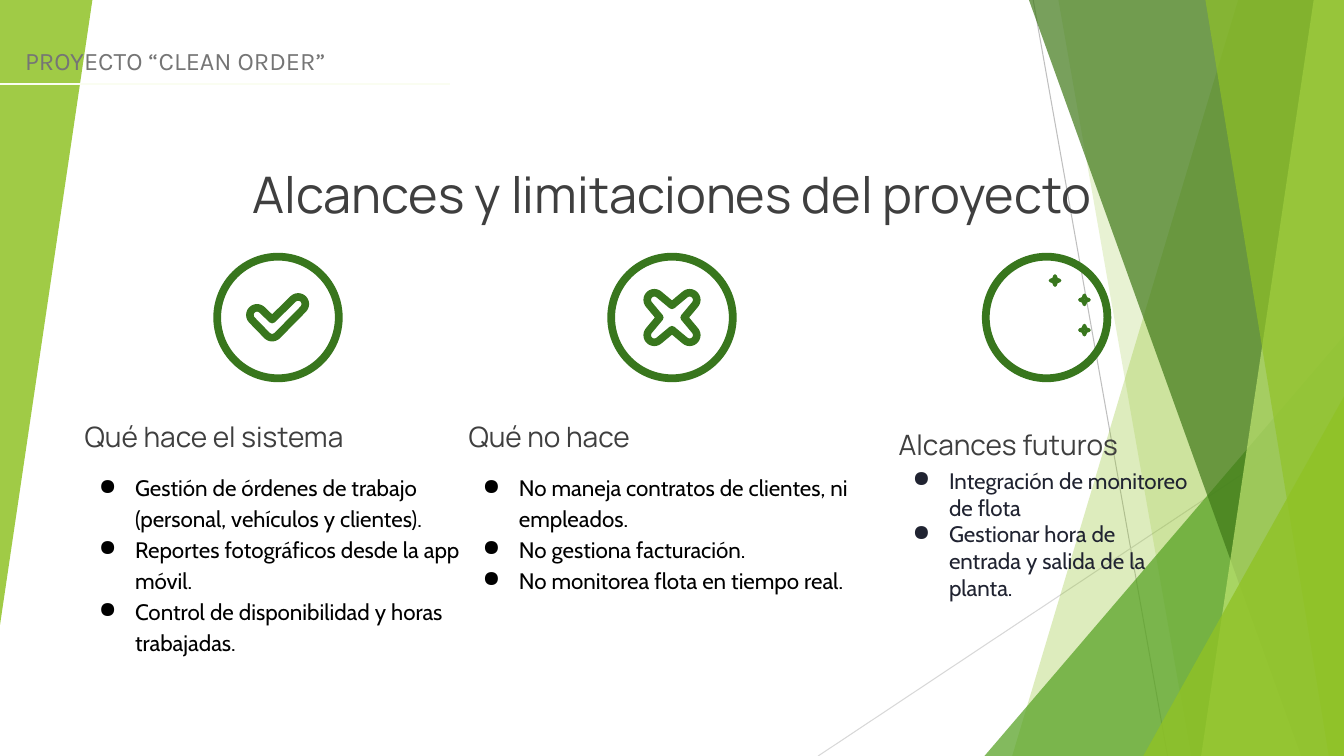
from dataclasses import dataclass
from math import cos, radians, sin
from typing import NamedTuple

from lxml.etree import SubElement
from pptx import Presentation
from pptx.dml.color import RGBColor
from pptx.enum.shapes import MSO_CONNECTOR, MSO_SHAPE
from pptx.enum.text import MSO_ANCHOR, MSO_AUTO_SIZE, PP_ALIGN
from pptx.oxml.ns import qn
from pptx.util import Emu, Inches, Pt

COLS, ROWS, UNIT = 160, 90, 76200

STRAIGHT = MSO_CONNECTOR.STRAIGHT
RING, STAR, WEDGE = MSO_SHAPE.DONUT, MSO_SHAPE.STAR_4_POINT, MSO_SHAPE.ISOSCELES_TRIANGLE
TOP, GROW = MSO_ANCHOR.TOP, MSO_AUTO_SIZE.SHAPE_TO_FIT_TEXT
LEFT, CENTER = PP_ALIGN.LEFT, PP_ALIGN.CENTER

LIME = RGBColor(0x90, 0xC2, 0x26)
GREEN = RGBColor(0x54, 0xA0, 0x21)
MOSS = RGBColor(0x3F, 0x78, 0x18)
PALE = RGBColor(0xBF, 0xE4, 0x71)
ICON = RGBColor(0x38, 0x76, 0x1D)
SILVER = RGBColor(0xBF, 0xBF, 0xBF)
MIST = RGBColor(0xD8, 0xD8, 0xD8)
CREAM = RGBColor(0xFA, 0xFD, 0xF1)
GRAY = RGBColor(0x75, 0x75, 0x75)
DARK = RGBColor(0x3F, 0x3F, 0x3F)
BLACK = RGBColor(0, 0, 0)
NAVY = RGBColor(0x20, 0x23, 0x31)


class Point(NamedTuple):
    x: float
    y: float


class Box(NamedTuple):
    left: float
    top: float
    width: float
    height: float


class Bend(NamedTuple):
    x: float
    y: float
    start: int
    end: int


@dataclass
class Panel:
    head: float
    foot: float
    color: RGBColor
    alpha: int


@dataclass
class Corner:
    box: Box
    color: RGBColor
    alpha: int
    turn: int = 0


@dataclass
class Rule:
    start: Point
    end: Point
    color: RGBColor
    width: float


@dataclass
class Topic:
    box: Box
    name: str
    items: list[str]
    color: RGBColor = BLACK
    space: float = 1.15
    gap: int = 12


PANELS = [
    Panel(147.4, 120.5, LIME, 30),
    Panel(126, 141.8, LIME, 20),
    Corner(Box(117.2, 40, 42.8, 50), GREEN, 72),
    Panel(122.5, 154.9, MOSS, 70),
    Panel(156.4, 143, PALE, 70),
    Panel(143.5, 158.2, LIME, 65),
    Corner(Box(136.1, 47.2, 23.9, 42.8), LIME, 80),
    Corner(Box(0, 0, 11, 74.4), LIME, 85, 180),
]
RULES = [
    Rule(Point(123, 0), Point(139, ROWS), SILVER, 0.75),
    Rule(Point(COLS, 48.4), Point(97.4, ROWS), MIST, 0.75),
]
HEADER = Rule(Point(0, 10), Point(53.6, 10), CREAM, 1.25)
TOPICS = [
    Topic(Box(8.9, 48.2, 48.4, 31), "Qué hace el sistema", [
        "Gestión de órdenes de trabajo (personal, vehículos y clientes).",
        "Reportes fotográficos desde la app móvil.",
        "Control de disponibilidad y horas trabajadas."]),
    Topic(Box(54.6, 48.2, 50.9, 23.5), "Qué no hace", [
        "No maneja contratos de clientes, ni empleados.",
        "No gestiona facturación.",
        "No monitorea flota en tiempo real."]),
    Topic(Box(105.8, 49.1, 37.3, 23.9), "Alcances futuros", [
        "Integración de monitoreo de flota",
        "Gestionar hora de entrada y salida de la planta."], NAVY, 1.0, 4),
]
BADGES = [Point(33.1, 37.8), Point(80, 37.8), Point(124.6, 37.8)]
CHECK = [Bend(-2.5, -0.3, 135, 315), Point(-0.7, 0.25),
         Bend(2.4, -1.6, 225, 405), Bend(-0.7, 1.55, 45, 135)]
CROSS = [Bend(-2.1, -2.1, 135, 315), Point(0, -1.45),
         Bend(2.1, -2.1, 225, 405), Point(1.45, 0),
         Bend(2.1, 2.1, 315, 495), Point(0, 1.45),
         Bend(-2.1, 2.1, 45, 225), Point(-1.45, 0)]
SPARKS = [Point(1, -4.4), Point(4.5, -2.1), Point(4.5, 1.5)]


def cell(count: float) -> Emu:
    return Emu(round(count * UNIT))


def paint(shape, color: RGBColor, alpha: int = 100) -> None:
    shape.shadow.inherit = False
    shape.line.fill.background()
    shape.fill.solid()
    shape.fill.fore_color.rgb = color
    if alpha < 100:
        tint = shape.fill._xPr.find(".//" + qn("a:srgbClr"))
        SubElement(tint, qn("a:alpha"), val=str(alpha * 1000))


def trace(shape, width: float) -> None:
    shape.shadow.inherit = False
    shape.fill.background()
    shape.line.color.rgb = ICON
    shape.line.width = Pt(width)


def outline(slide, points: list[Point]):
    spots = [(cell(x), cell(y)) for x, y in points]
    pen = slide.shapes.build_freeform(*spots[0], scale=1.0)
    pen.add_line_segments(spots[1:], close=True)
    return pen.convert_to_shape()


def preset(slide, kind, box: Box, ratio: float):
    shape = slide.shapes.add_shape(kind, *map(cell, box))
    shape.adjustments[0] = ratio
    return shape


def around(spot: Point, size: float) -> Box:
    return Box(spot.x - size / 2, spot.y - size / 2, size, size)


def back(slide, part: Panel | Corner) -> None:
    if isinstance(part, Panel):
        shape = outline(slide, [Point(part.head, 0), Point(COLS, 0),
                                Point(COLS, ROWS), Point(part.foot, ROWS)])
    else:
        shape = preset(slide, WEDGE, part.box, 1)
        shape.rotation = part.turn
    paint(shape, part.color, part.alpha)


def draw(slide, rule: Rule) -> None:
    line = slide.shapes.add_connector(STRAIGHT, *map(cell, rule.start + rule.end))
    line.line.color.rgb = rule.color
    line.line.width = Pt(rule.width)
    SubElement(line._element.spPr, qn("a:effectLst"))


def mark(slide, hub: Point, bends: list[Bend | Point], radius: float = 0.85) -> None:
    points = []
    for bend in bends:
        x, y = hub.x + bend.x, hub.y + bend.y
        if isinstance(bend, Point):
            points.append(Point(x, y))
        else:
            points += [Point(x + radius * cos(radians(turn)), y + radius * sin(radians(turn)))
                       for turn in range(bend.start, bend.end + 1, 15)]
    trace(outline(slide, points), 5.4)


def frame(shape, box: Box, inset: float = 0.05):
    shape.left, shape.top, shape.width, shape.height = map(cell, box)
    body = shape.text_frame
    body.word_wrap, body.auto_size, body.vertical_anchor = True, GROW, TOP
    body.margin_left = body.margin_right = Inches(0.1)
    body.margin_top = body.margin_bottom = Inches(inset)
    return body


def write(para, text: str, *, size: int, font: str, color: RGBColor, align=LEFT,
          space: float = 1.0, gap: int = 0, bullet: bool = False) -> None:
    para.alignment, para.line_spacing, para.space_before = align, space, Pt(gap)
    if bullet:
        props = para._p.get_or_add_pPr()
        props.set("marL", str(Inches(0.5)))
        props.set("indent", str(-Inches(0.36)))
        SubElement(SubElement(props, qn("a:buClr")), qn("a:srgbClr"), val=str(color))
        SubElement(props, qn("a:buChar"), char="●")
    run = para.add_run()
    run.text = text
    run.font.size, run.font.name = Pt(size), font
    run.font.color.rgb = color


def listing(slide, topic: Topic) -> None:
    body = frame(slide.shapes.add_textbox(*map(cell, topic.box)), topic.box, 0.1)
    write(body.paragraphs[0], topic.name, size=20, font="Manrope", color=DARK, space=1.15)
    for rank, item in enumerate(topic.items):
        write(body.add_paragraph(), item, size=16, font="Cabin", color=topic.color,
              space=topic.space, gap=0 if rank else topic.gap, bullet=True)


def main() -> None:
    deck = Presentation()
    deck.slide_width, deck.slide_height = cell(COLS), cell(ROWS)
    slide = deck.slides.add_slide(deck.slide_layouts[5])
    for rule in RULES:
        draw(slide, rule)
    for part in PANELS:
        back(slide, part)
    box = Box(1.8, 4.8, 156, 4.8)
    label = frame(slide.shapes.add_textbox(*map(cell, box)), box)
    write(label.paragraphs[0], "PROYECTO “CLEAN ORDER”", size=18, font="Karla", color=GRAY)
    title = slide.shapes.title
    title.element.getparent().append(title.element)
    write(frame(title, Box(0, 18.8, COLS, 8.5)).paragraphs[0],
          "Alcances y limitaciones del proyecto",
          size=36, font="Manrope", color=DARK, align=CENTER)
    draw(slide, HEADER)
    for topic in TOPICS:
        listing(slide, topic)
    for hub in BADGES:
        paint(preset(slide, RING, around(hub, 15.4), 0.06), ICON)
    mark(slide, BADGES[0], CHECK)
    mark(slide, BADGES[1], CROSS)
    hub = BADGES[2]
    for spark in SPARKS:
        spot = Point(hub.x + spark.x, hub.y + spark.y)
        trace(preset(slide, STAR, around(spot, 1.1), 0.2), 2.5)
    deck.save("out.pptx")


if __name__ == "__main__":
    main()
